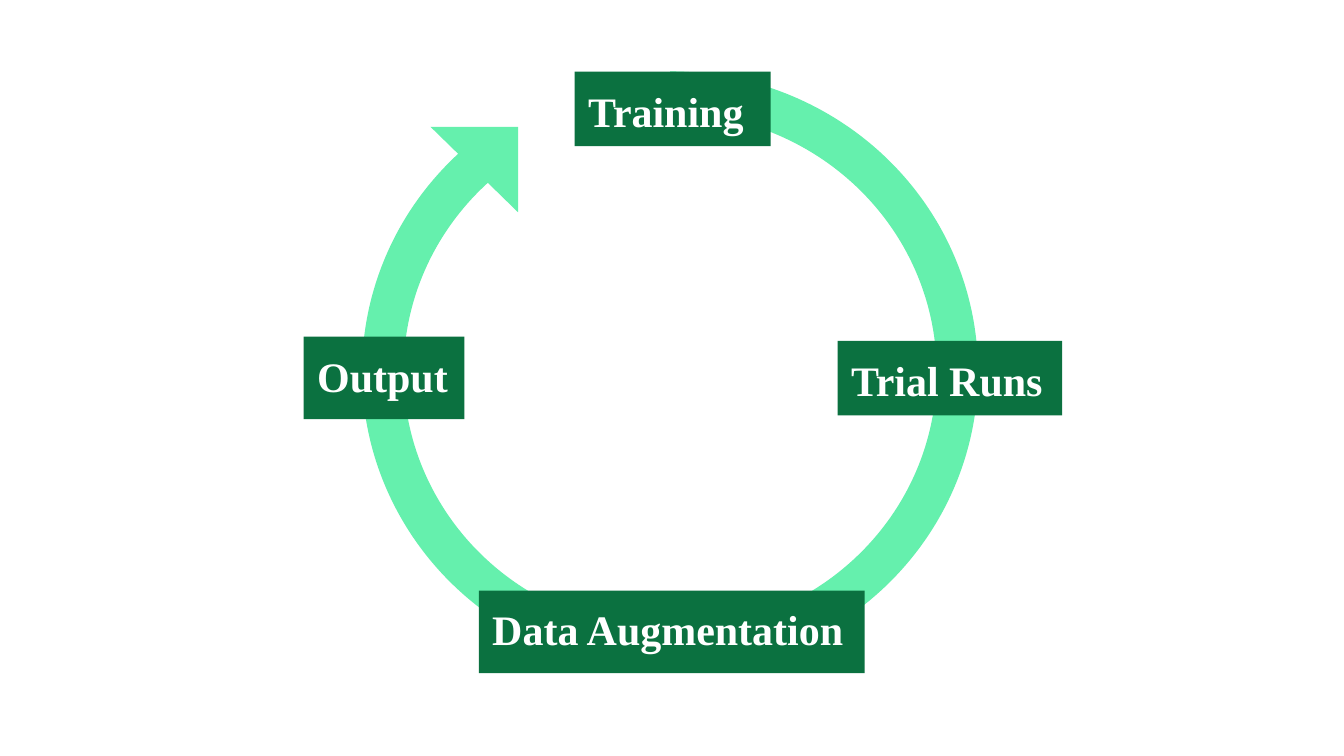
"""Build a slide showing a training cycle as a ring with four labels."""
from pptx import Presentation
from pptx.dml.color import RGBColor
from pptx.enum.shapes import MSO_SHAPE
from pptx.enum.text import MSO_ANCHOR, PP_ALIGN
from pptx.util import Pt

ARC, HEAD, RECT = MSO_SHAPE.BLOCK_ARC, MSO_SHAPE.RIGHT_TRIANGLE, MSO_SHAPE.RECTANGLE
TOP, LEFT = MSO_ANCHOR.TOP, PP_ALIGN.LEFT
MINT = RGBColor(0x65, 0xF0, 0xAD)
GREEN = RGBColor(0x0B, 0x71, 0x40)
WHITE = RGBColor(0xFF, 0xFF, 0xFF)

STEPS = [
    ("Training", 410.5, 51.2, 140, 53.3),
    ("Trial Runs", 598.3, 243.5, 160.5, 53.3),
    ("Data Augmentation", 342, 421.8, 275.6, 59),
    ("Output", 217, 240.5, 114.7, 59),
]


def write(frame, text, font="Times New Roman", size=30, color=WHITE, bold=True):
    """Put formatted text into a frame."""
    para = frame.paragraphs[0]
    para.alignment = LEFT
    run = para.add_run()
    run.text = text
    run.font.name = font
    run.font.size = Pt(size)
    run.font.bold = bold
    run.font.color.rgb = color


class Cycle:
    """Holds the style and the current slide."""

    def __init__(self, slide, ring=MINT, label=GREEN, inset=9.6):
        """Keep the slide, its colours and the label inset."""
        self.slide, self.ring, self.label, self.inset = slide, ring, label, inset

    def shape(self, home, kind, box, fill):
        """Add a flat shape without outline."""
        item = home.shapes.add_shape(kind, *map(Pt, box))
        item.shadow.inherit = False
        item.fill.solid()
        item.fill.fore_color.rgb = fill
        item.line.fill.background()
        return item

    def arrow(self, arc, head):
        """Add the round arrow as one group."""
        group = self.slide.shapes.add_group_shape()
        band = self.shape(group, ARC, arc, self.ring)
        for index, value in enumerate((53.998, 30.127, 0.069)):
            band.adjustments[index] = value
        tip = self.shape(group, HEAD, head, self.ring)
        band.rotation = tip.rotation = 180

    def step(self, text, *box):
        """Add a label on the ring."""
        frame = self.shape(self.slide, RECT, box, self.label).text_frame
        frame.word_wrap = True
        frame.vertical_anchor = TOP
        frame.margin_left = frame.margin_right = Pt(self.inset)
        frame.margin_top = frame.margin_bottom = Pt(self.inset)
        write(frame, text)


def main():
    """Build and save the slide."""
    deck = Presentation()
    deck.slide_width, deck.slide_height = Pt(960), Pt(540)
    cycle = Cycle(deck.slides.add_slide(deck.slide_layouts[6]))
    cycle.arrow((258.6, 51, 440, 429), (307.5, 90.6, 62.5, 61))
    for step in STEPS:
        cycle.step(*step)
    deck.save("out.pptx")


if __name__ == "__main__":
    main()
